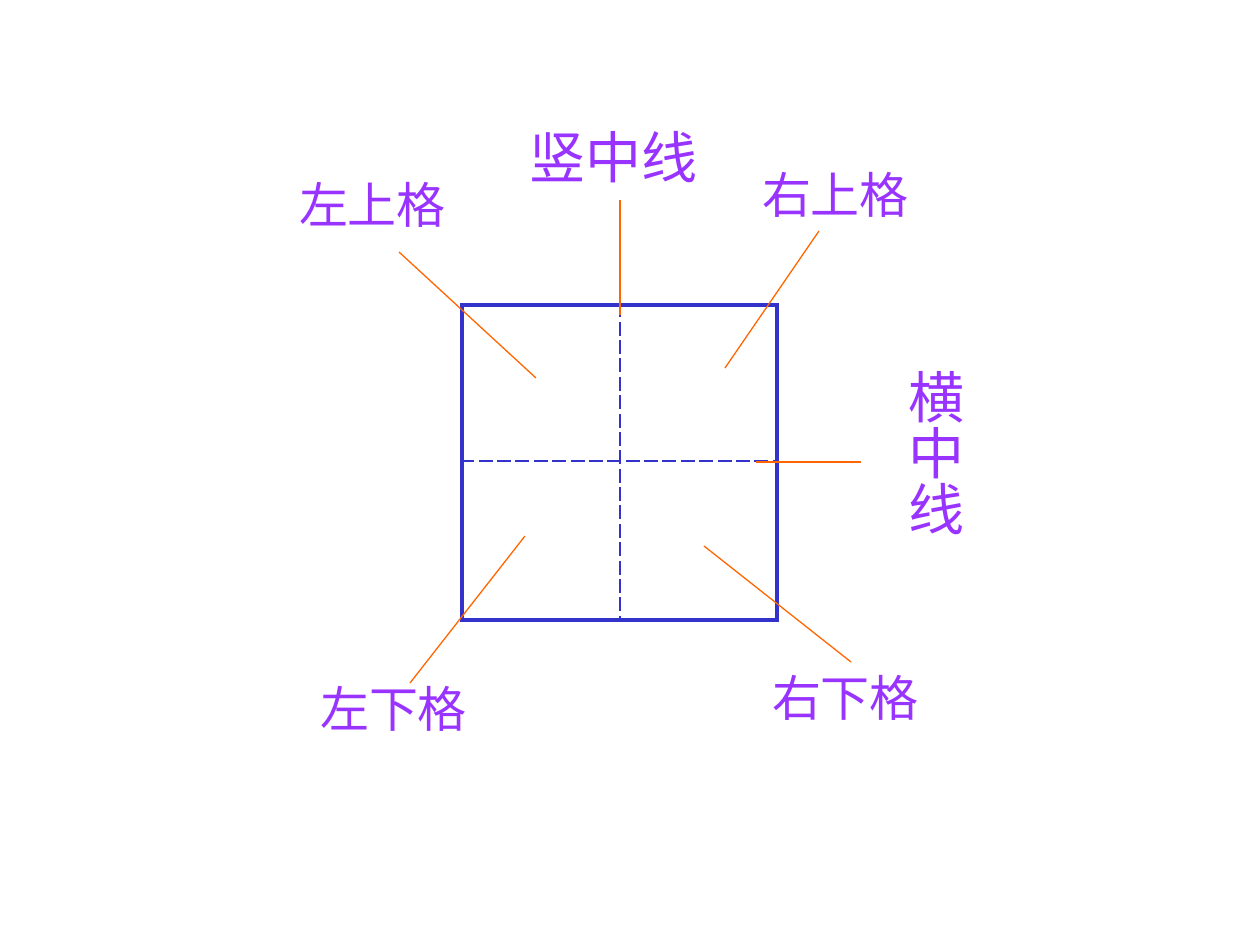
import pptx
import pptx.dml.color
import pptx.enum.shapes
import pptx.enum.text
import pptx.oxml.ns
import pptx.util
from lxml import etree

BLUE = pptx.dml.color.RGBColor(0x33, 0x33, 0xCC)
ORANGE = pptx.dml.color.RGBColor(0xFF, 0x66, 0x00)
PURPLE = pptx.dml.color.RGBColor(0x99, 0x33, 0xFF)

LEADER_LABELS = [
    ("竖中线", 32, (514, 116, 199, 81), (620, 315, 620, 200)),
    ("左下格", 28, (294, 672, 199, 72), (410, 683, 525, 536)),
    ("右下格", 28, (746, 661, 199, 72), (704, 546, 851, 662)),
    ("左上格", 28, (273, 168, 199, 72), (399, 252, 536, 378)),
    ("右上格", 28, (746, 158, 179, 72), (725, 368, 819, 231)),
    ("横中线", 32, (882, 357, 92, 210), (756, 462, 861, 462)),
]


class Diagram:
    font = "Times New Roman"
    outer_width = 2.21
    inner_width = 1.47
    leader_width = 0.75

    def __init__(self, slide):
        self.slide = slide

    @staticmethod
    def px(*lengths):
        return [pptx.util.Emu(round(length * 914400 / 126)) for length in lengths]

    def border(self, cell, side, outer):
        width = pptx.util.Pt(self.outer_width if outer else self.inner_width)
        qn = pptx.oxml.ns.qn
        line = etree.SubElement(cell._tc.get_or_add_tcPr(), qn(f"a:ln{side}"), w=str(int(width)))
        fill = etree.SubElement(line, qn("a:solidFill"))
        etree.SubElement(fill, qn("a:srgbClr"), val=str(BLUE))
        etree.SubElement(line, qn("a:prstDash"), val="solid" if outer else "dash")

    def writing_grid(self, left, top, widths, heights):
        area = self.px(left, top, sum(widths), sum(heights))
        table = self.slide.shapes.add_table(len(heights), len(widths), *area).table
        table.first_row = table.horz_banding = False
        for column, width in zip(table.columns, self.px(*widths)):
            column.width = width
        for row, height in zip(table.rows, self.px(*heights)):
            row.height = height
        for r in range(len(heights)):
            for c in range(len(widths)):
                cell = table.cell(r, c)
                self.border(cell, "L", c == 0)
                self.border(cell, "R", c == len(widths) - 1)
                self.border(cell, "T", r == 0)
                self.border(cell, "B", r == len(heights) - 1)
                cell.fill.background()

    def leader(self, shapes, ends):
        straight = pptx.enum.shapes.MSO_CONNECTOR.STRAIGHT
        line = shapes.add_connector(straight, *self.px(*ends))
        line.line.color.rgb = ORANGE
        line.line.width = pptx.util.Pt(self.leader_width)
        etree.SubElement(line._element.spPr, pptx.oxml.ns.qn("a:effectLst"))

    def label(self, shapes, text, size, area):
        box = shapes.add_textbox(*self.px(*area))
        frame = box.text_frame
        frame.word_wrap = True
        frame.auto_size = pptx.enum.text.MSO_AUTO_SIZE.SHAPE_TO_FIT_TEXT
        if area[3] > area[2]:
            frame._txBody.bodyPr.set("vert", "eaVert")
            frame.margin_left = frame.margin_right = pptx.util.Inches(0.05)
            frame.margin_top = frame.margin_bottom = pptx.util.Inches(0.1)
        para = frame.paragraphs[0]
        para.alignment = pptx.enum.text.PP_ALIGN.CENTER
        span = para.add_run()
        span.text = text
        span.font.name = self.font
        span.font.size = pptx.util.Pt(size)
        span.font.color.rgb = PURPLE

    def leader_label(self, text, size, area, ends):
        group = self.slide.shapes.add_group_shape()
        self.leader(group.shapes, ends)
        self.label(group.shapes, text, size, area)


def main():
    deck = pptx.Presentation()
    deck.slide_width, deck.slide_height = Diagram.px(1260, 945)
    page = deck.slides.add_slide(deck.slide_layouts[6])
    diagram = Diagram(page)
    diagram.writing_grid(462, 305, (158, 157), (156, 159))
    for item in LEADER_LABELS:
        diagram.leader_label(*item)
    deck.save("out.pptx")


if __name__ == "__main__":
    main()
